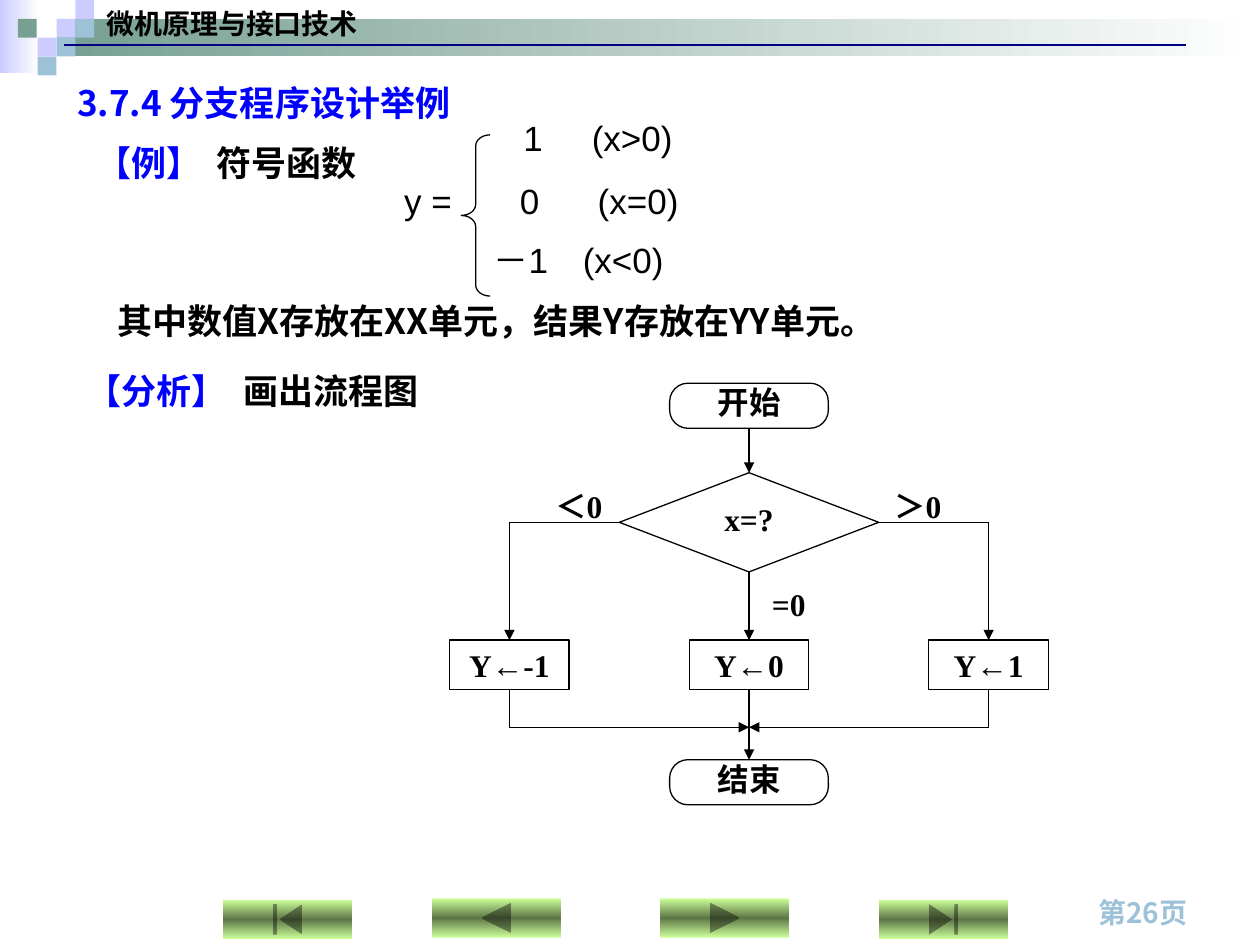
from lxml.etree import SubElement
from pptx import Presentation
from pptx.dml.color import RGBColor
from pptx.enum.shapes import MSO_CONNECTOR, MSO_SHAPE as SHAPE
from pptx.enum.text import MSO_ANCHOR as ANCHOR, MSO_AUTO_SIZE as AUTO, PP_ALIGN as ALIGN
from pptx.oxml.ns import qn
from pptx.util import Cm, Pt

SANS, SERIF, ARIAL = "Noto Sans CJK SC", "Times New Roman", "Arial"
BLACK, BLUE, WHITE, NAVY = "000000", "0000FF", "FFFFFF", "000080"
LILAC, SKY, SAGE = "CCCCFF", "9DC2D7", "779F92"
LIME, OLIVE = "CCFF99", "5E7647"

# Content: lengths in cm
HEADING = "3.7.4 分支程序设计举例"
BANDS = [((0, 0, 0.79, 1.47), LILAC), ((1.14, 0.38, 24.26, 0.76), SAGE)]
TILE = 0.38
TILES = [(1.14, 0.38, LILAC), (1.52, 0, LILAC), (1.52, 0.38, SKY), (0.76, 0.76, LILAC),
         (0.36, 0.38, SAGE), (1.14, 0.76, SKY), (0.76, 1.14, SKY)]
BUTTONS = [(4.5, 18.14, SHAPE.ACTION_BUTTON_BEGINNING),
           (8.71, 18.11, SHAPE.ACTION_BUTTON_BACK_OR_PREVIOUS),
           (13.31, 18.11, SHAPE.ACTION_BUTTON_FORWARD_OR_NEXT),
           (17.73, 18.14, SHAPE.ACTION_BUTTON_END)]
TOPICS = [("【例】", "符号函数", (1.7, 2.72, 8.89, 1.09), 2.42),
          ("【分析】", "画出流程图", (1.5, 7.32, 8.89, 1.09), 3.15)]
CASES = [("\t1\t(x>0)", (2.4, 3.78), 0),
         ("y =\t0\t(x=0)", (2.33, 3.9), 12),
         ("\t－1\t(x<0)", (1.8, 3.6), 10)]
NOTE = "其中数值X存放在XX单元，结果Y存放在YY单元。"
BRANCHES = ["Y←-1", "Y←0", "Y←1"]
LABELS = [("＜0", 11.67, 10.19), ("=0", 15.9, 12.17), ("＞0", 18.5, 10.19)]
MID_X, STEP_X, TEST_Y, MERGE_Y = 15.1, 4.83, 10.53, 14.66


def rgb(value):
    return RGBColor.from_string(value)


def add_run(p, text, size=18, font=SANS, color=BLACK, bold=True):
    r = p.add_run()
    r.text = text
    r.font.size, r.font.name, r.font.bold = Pt(size), font, bold
    r.font.color.rgb = rgb(color)
    SubElement(r.font._element, qn("a:ea"), typeface=SANS)


def set_tabs(p, stops):
    tabs = SubElement(p._p.get_or_add_pPr(), qn("a:tabLst"))
    for stop in stops:
        SubElement(tabs, qn("a:tab"), pos=str(Cm(stop)), algn="l")


def write(sp, text, align=ALIGN.LEFT, spacing=None, **fmt):
    p = sp.text_frame.paragraphs[0]
    p.alignment = align
    if spacing:
        p.line_spacing = spacing
    add_run(p, text, **fmt)


def text_box(s, box, grow=True):
    sp = s.shapes.add_textbox(*map(Cm, box))
    tf = sp.text_frame
    tf.word_wrap = True
    if grow:
        tf.auto_size = AUTO.SHAPE_TO_FIT_TEXT
    return sp


def set_insets(tf, side=0, bottom=0):
    tf.margin_left = tf.margin_right = Cm(side)
    tf.margin_top, tf.margin_bottom = 0, Cm(bottom)
    tf.vertical_anchor = ANCHOR.MIDDLE


def add_shape(s, kind, box, fill=None, line=None):
    sp = s.shapes.add_shape(kind, *map(Cm, box))
    sp.shadow.inherit = False
    if fill:
        sp.fill.solid()
        sp.fill.fore_color.rgb = rgb(fill)
    else:
        sp.fill.background()
    if line:
        sp.line.color.rgb, sp.line.width = rgb(line), Pt(0.75)
    else:
        sp.line.fill.background()
    return sp


def set_gradient(sp, colors, angle):
    sp.fill.gradient()
    sp.fill.gradient_angle = angle
    stops = sp._element.spPr.find(qn("a:gradFill")).find(qn("a:gsLst"))
    stops.clear()
    for i, color in enumerate(colors):
        gs = SubElement(stops, qn("a:gs"), pos=str(100000 * i // (len(colors) - 1)))
        SubElement(gs, qn("a:srgbClr"), val=color)


def node(s, kind, center, size, text, side=0.25, bottom=0, **fmt):
    (x, y), (w, h) = center, size
    sp = add_shape(s, kind, (x - w / 2, y - h / 2, w, h), WHITE, BLACK)
    tf = sp.text_frame
    tf.word_wrap = True
    set_insets(tf, side, bottom)
    write(sp, text, ALIGN.CENTER, **fmt)
    return sp


def link(s, start, end, arrow=False, color=BLACK, width=0.75):
    """Each end is a point in cm or a (shape, side number) pair."""
    glued = [not isinstance(e[0], (int, float)) for e in (start, end)]
    points = [(0, 0) if g else e for g, e in zip(glued, (start, end))]
    c = s.shapes.add_connector(MSO_CONNECTOR.STRAIGHT,
                               *(Cm(v) for point in points for v in point))
    if glued[0]:
        c.begin_connect(*start)
    if glued[1]:
        c.end_connect(*end)
    c.line.color.rgb, c.line.width = rgb(color), Pt(width)
    if arrow:
        SubElement(c.line._get_or_add_ln(), qn("a:tailEnd"), type="triangle")
    SubElement(c._element.spPr, qn("a:effectLst"))


def draw_frame(s):
    # Header bands and tiles
    for box, color in BANDS:
        set_gradient(add_shape(s, SHAPE.RECTANGLE, box), (color, WHITE), 0)
    for x, y, color in TILES:
        add_shape(s, SHAPE.RECTANGLE, (x, y, TILE, TILE), color)
    write(text_box(s, (21.89, 17.93, 3.2, 0.94)), "第26页", size=16, color=SKY)
    write(text_box(s, (1.9, 0, 22, 0.94)), "微机原理与接口技术", size=16)
    link(s, (1.3, 0.91), (23.9, 0.91), color=NAVY, width=1.25)
    # Navigation buttons
    for x, y, kind in BUTTONS:
        set_gradient(add_shape(s, kind, (x, y, 2.6, 0.79)), (LIME, OLIVE, LIME), 90)


def draw_text(s):
    # Heading
    title = s.shapes.title
    title.left, title.top, title.width, title.height = map(Cm, (1.3, 1.52, 22.43, 1.09))
    title.fill.solid()
    title.fill.fore_color.rgb = rgb(WHITE)
    title.text_frame.vertical_anchor = ANCHOR.TOP
    title.text_frame.auto_size = AUTO.SHAPE_TO_FIT_TEXT
    write(title, HEADING, size=20, color=BLUE)
    # Topic lines
    for tag, text, box, stop in TOPICS:
        p = text_box(s, box).text_frame.paragraphs[0]
        set_tabs(p, [stop])
        add_run(p, tag + "\t", size=20, color=BLUE)
        add_run(p, text, size=20)
    write(text_box(s, (2.11, 5.92, 19.18, 1.09)), NOTE, size=20)
    # Sign function with its brace
    tf = text_box(s, (7.9, 1.93, 8.41, 3.99), grow=False).text_frame
    tf.margin_top = Cm(0.41)
    for i, (text, stops, before) in enumerate(CASES):
        p = tf.add_paragraph() if i else tf.paragraphs[0]
        p.space_before = Pt(before)
        set_tabs(p, stops)
        add_run(p, text, size=20, font=ARIAL, bold=False)
    brace = add_shape(s, SHAPE.LEFT_BRACE, (9.3, 2.72, 0.58, 3.25), line=BLACK)
    brace.adjustments[0] = 0.384


def draw_flowchart(s):
    # Nodes
    start, end = [node(s, SHAPE.ROUNDED_RECTANGLE, (MID_X, y), (3.2, 0.91), text, spacing=0.8)
                  for text, y in (("开始", 8.18), ("结束", 15.77))]
    for sp in (start, end):
        sp.adjustments[0] = 0.407
    test = node(s, SHAPE.DIAMOND, (MID_X, TEST_Y), (5.23, 2), "x=?", bottom=0.13, font=SERIF)
    columns = [MID_X + STEP_X * i for i in (-1, 0, 1)]
    boxes = [node(s, SHAPE.RECTANGLE, (x, 13.4), (2.41, 0.99), text, side=0.15, font=SERIF)
             for x, text in zip(columns, BRANCHES)]
    # Middle path
    for a, b in ((start, test), (test, boxes[1]), (boxes[1], end)):
        link(s, (a, 2), (b, 0), arrow=True)
    # Side paths
    for x, box, side in ((columns[0], boxes[0], 1), (columns[2], boxes[2], 3)):
        link(s, (test, side), (x, TEST_Y))
        link(s, (x, TEST_Y), (box, 0), arrow=True)
        link(s, (box, 2), (x, MERGE_Y))
        link(s, (x, MERGE_Y), (MID_X, MERGE_Y), arrow=True)
    # Branch labels
    for text, x, y in LABELS:
        sp = text_box(s, (x - 0.75, y - 0.51, 1.5, 1.02), grow=False)
        set_insets(sp.text_frame)
        write(sp, text, ALIGN.CENTER, font=SERIF)


def main():
    prs = Presentation()
    prs.slide_width, prs.slide_height = Cm(25.4), Cm(19.05)
    s = prs.slides.add_slide(prs.slide_layouts[5])
    draw_frame(s)
    draw_text(s)
    draw_flowchart(s)
    prs.save("out.pptx")


if __name__ == "__main__":
    main()
